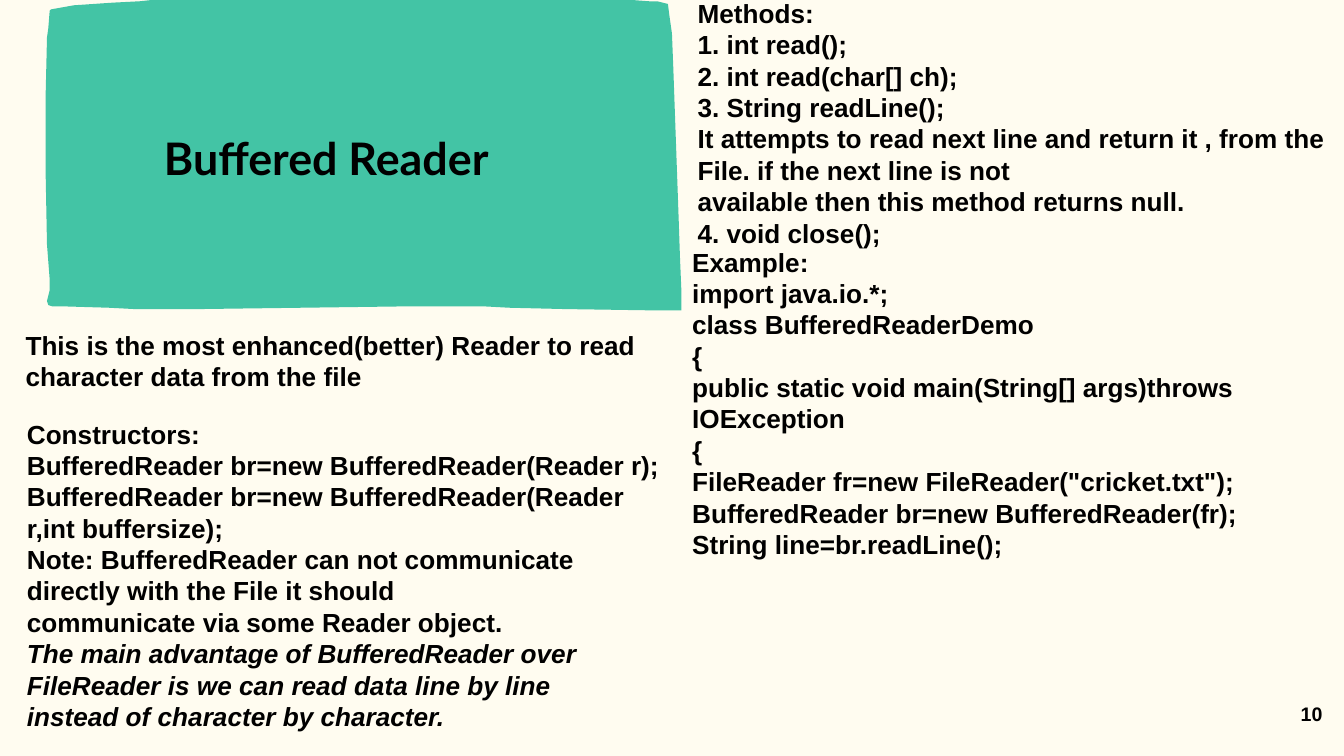
from pptx import Presentation
from pptx.util import Inches, Pt
from pptx.dml.color import RGBColor as RGB
from pptx.enum.text import MSO_ANCHOR as Anchor, MSO_AUTO_SIZE as Fit, PP_ALIGN as Align
from pptx.oxml.ns import qn
from lxml.etree import SubElement as Sub

COLORS = {"paper": "FFFCF0", "panel": "43C4A5", "ink": "000000"}
W, H = Inches(10), Inches(5.625)
CELL = W / 100  # square grid, 100 columns wide

# Rough edge of the title panel, in tenths of a cell, clockwise from top right
EDGE = [
    (497, 3), (498, 11), (500, 25), (501, 50), (505, 163), (506, 192), (507, 216), (507, 231),
    (489, 231), (420, 230), (379, 229), (360, 228), (303, 228), (149, 230), (100, 230),
    (81, 229), (47, 228), (39, 228), (36, 227), (35, 224), (37, 216), (37, 208), (35, 182),
    (34, 130), (34, 70), (35, 28), (36, 21), (37, 8), (38, 7), (55, 4), (84, 2), (104, 1),
    (123, -1), (144, -1), (320, -1), (346, -2), (389, -3), (407, -2), (456, -1), (483, 1),
    (489, 1),
]

INTRO = ["This is the most enhanced(better) Reader to read character data from the file"]
MAKERS = [
    "Constructors:",
    "BufferedReader br=new BufferedReader(Reader r);",
    "BufferedReader br=new BufferedReader(Reader r,int buffersize);",
    "Note: BufferedReader can not communicate directly with the File it should",
    "communicate via some Reader object.",
    "The main advantage of BufferedReader over FileReader is we can read data line by line",
    "instead of character by character.",
]
METHODS = [
    "Methods:",
    "1. int read();",
    "2. int read(char[] ch);",
    "3. String readLine();",
    "It attempts to read next line and return it , from the File. if the next line is not",
    "available then this method returns null.",
    "4. void close();",
]
DEMO = [
    "Example:",
    "import java.io.*;",
    "class BufferedReaderDemo",
    "{",
    "public static void main(String[] args)throws IOException",
    "{",
    'FileReader fr=new FileReader("cricket.txt");',
    "BufferedReader br=new BufferedReader(fr);",
    "String line=br.readLine();",
]

# Placeholder index, box in cells, lines, first italic line
BLOCKS = [
    (1, (0.9, 24, 50, 5.7), INTRO, None),
    (2, (1, 30.6, 50, 24.6), MAKERS, 5),
    (3, (50.9, -0.7, 50, 19.9), METHODS, None),
    (4, (50.5, 17.8, 50, 24.6), DEMO, None),
]


def put(obj, values):
    for name, value in values.items():
        setattr(obj, name, value)


def place(shape, box):
    sides = ("left", "top", "width", "height")
    put(shape, {side: round(n * CELL) for side, n in zip(sides, box)})


def write(shape, box, lines, size, face="Arial", slant=None):
    place(shape, box)
    frame = shape.text_frame
    frame.text = "\n".join(lines)
    put(frame, {"word_wrap": True, "auto_size": Fit.NONE, "vertical_anchor": Anchor.TOP})
    for i, para in enumerate(frame.paragraphs):
        put(para, {"alignment": Align.LEFT, "line_spacing": 1.0,
                   "space_before": Pt(0), "space_after": Pt(0)})
        italic = slant is not None and i >= slant
        put(para.runs[0].font, {"name": face, "size": Pt(size), "bold": True, "italic": italic})
        para.runs[0].font.color.rgb = RGB.from_string(COLORS["ink"])
        # Plain lines, without bullet or indent
        props = para._p.get_or_add_pPr()
        props.set("marL", "0")
        props.set("indent", "0")
        Sub(props, qn("a:buNone"))


def draw_panel(slide):
    pen = slide.shapes.build_freeform(*EDGE[0], scale=CELL / 10)
    pen.add_line_segments(EDGE[1:], close=True)
    panel = pen.convert_to_shape()
    panel.shadow.inherit = False
    panel.fill.solid()
    panel.fill.fore_color.rgb = RGB.from_string(COLORS["panel"])
    panel.line.fill.background()
    slide.shapes.title.element.addprevious(panel.element)  # behind the title


def main():
    deck = Presentation()
    put(deck, {"slide_width": W, "slide_height": H})
    slide = deck.slides.add_slide(deck.slide_layouts.get_by_name("Comparison"))
    slide.background.fill.solid()
    slide.background.fill.fore_color.rgb = RGB.from_string(COLORS["paper"])

    # Title on its panel
    draw_panel(slide)
    write(slide.shapes.title, (11.2, 9.2, 32.2, 5), ["Buffered Reader"], 24, "Lato")

    # Text blocks
    slots = {slot.placeholder_format.idx: slot for slot in slide.placeholders}
    for idx, box, lines, slant in BLOCKS:
        write(slots[idx], box, lines, 14, slant=slant)

    # Page number
    page = slide.shapes.add_textbox(0, 0, 0, 0)
    write(page, (95.8, 51.7, 3.7, 2.8), ["10"], 10.5)
    page.text_frame.word_wrap = False

    deck.save("out.pptx")


if __name__ == "__main__":
    main()
